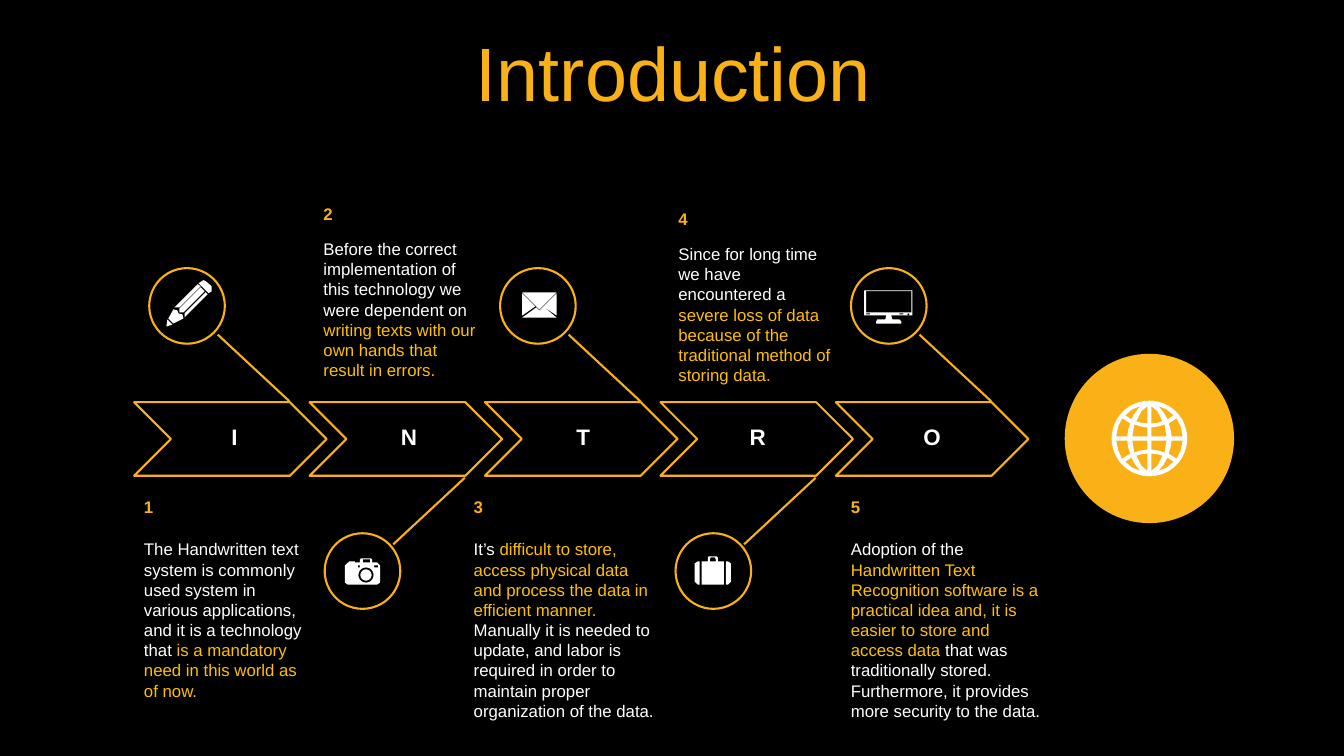
"""Build the Introduction slide: a five-step chevron row with badges and notes."""
from itertools import product
from math import cos, pi, sin

from lxml.etree import SubElement
from pptx import Presentation
from pptx.dml.color import RGBColor
from pptx.enum.shapes import MSO_CONNECTOR, MSO_SHAPE
from pptx.enum.text import MSO_ANCHOR, MSO_AUTO_SIZE, PP_ALIGN
from pptx.oxml.ns import qn
from pptx.util import Inches, Pt

HUES = {
    name: RGBColor.from_string(code)
    for name, code in {
        "night": "000000", "amber": "FAB117", "gold": "FFC000", "white": "FFFFFF",
    }.items()
}

deck = Presentation()
deck.slide_width, deck.slide_height = Inches(13.33), Inches(7.5)
cell = deck.slide_width // 1333
step, rim, disc = 174, 133, 75

slide = deck.slides.add_slide(deck.slide_layouts[5])
slide.background.fill.solid()
slide.background.fill.fore_color.rgb = HUES["night"]
shapes = slide.shapes


def write(para, text, size, hue, bold=False):
    """Add one run to a paragraph."""
    run = para.add_run()
    run.text = text
    run.font.name, run.font.size, run.font.bold = "Arial", Pt(size), bold
    run.font.color.rgb = HUES[hue]


def draw(left, top, loops):
    """Draw one white icon; a loop is a circle, a box or a list of points."""
    outlines = []
    for loop in loops:
        if len(loop) == 3 and isinstance(loop, tuple):
            x, y, r = loop
            loop = [(x + r * cos(k * pi / 24), y + r * sin(k * pi / 24)) for k in range(48)]
        elif isinstance(loop, tuple):
            x, y, right, low = loop
            loop = [(x, y), (right, y), (right, low), (x, low)]
        outlines.append([(x * 10, y * 10) for x, y in loop])
    pen = shapes.build_freeform(*outlines[0][0], scale=cell / 10)
    for outline in outlines:
        pen.move_to(*outline[0])
        pen.add_line_segments(outline[1:], close=True)
    icon = pen.convert_to_shape(left * cell, top * cell)
    icon.shadow.inherit = False
    icon.fill.solid()
    icon.fill.fore_color.rgb = HUES["white"]
    icon.line.fill.background()


title = shapes.title
title.left, title.top, title.width, title.height = [n * cell for n in (35, 37, 1266, 79)]
title.text_frame.vertical_anchor = MSO_ANCHOR.MIDDLE
title.text_frame.auto_size = MSO_AUTO_SIZE.NONE
head = title.text_frame.paragraphs[0]
head.alignment, head.line_spacing = PP_ALIGN.CENTER, 0.9
write(head, "Introduction", 54, "amber")

pencil = [
    [(18, 51), (23, 56), (17, 58)],
    [(24, 41), (28, 42), (29, 45), (33, 46), (34, 50), (24, 55), (19, 50)],
    [(56, 24), (58, 26), (35, 49), (35, 45)],
    [(51, 19), (55, 23), (34, 44), (30, 44), (30, 40)],
    [(48, 16), (51, 18), (30, 39), (25, 39)],
    [(52, 13), (54, 12), (56, 13), (62, 18), (62, 23), (59, 25), (49, 15)],
]
camera = [
    (41, 41.5, 5.5), (41, 41.5, 7.5),
    (33, 32, 35, 34), (49, 32, 53, 34), (38, 26, 45, 29),
    [(36, 25), (46, 25), (47, 26), (47, 29), (52, 29), (55, 32), (55, 49), (52, 51),
     (23, 51), (20, 49), (20, 32), (23, 29), (24, 29), (24, 28), (30, 28), (30, 29),
     (35, 29), (35, 26)],
]
mail = [
    [(43, 38), (56, 49), (22, 49), (36, 39), (39, 42)],
    [(56, 25), (56, 47), (43, 38)],
    [(22, 25), (35, 38), (22, 47)],
    [(22, 24), (56, 24), (39, 41)],
]
case = [
    [(50, 28), (52, 28), (55, 30), (55, 48), (52, 51), (50, 51)],
    [(22, 28), (24, 28), (24, 51), (22, 51), (19, 48), (19, 30)],
    [(35, 24), (39, 24), (40, 26), (40, 28), (34, 28), (34, 26)],
    [(33, 23), (41, 23), (42, 24), (42, 28), (48, 28), (48, 51), (26, 51), (26, 28),
     (32, 28), (32, 24)],
]
screen = [
    (48, 45, 52, 46), (15, 45, 19, 46), (57, 46, 1), (15, 23, 60, 44),
    [(13, 22), (61, 22), (61, 47), (40, 47), (41, 51), (48, 51), (50, 53), (50, 55),
     (25, 55), (25, 53), (26, 51), (34, 51), (35, 47), (13, 47)],
]

for i, (mark, icon) in enumerate(zip("INTRO", (pencil, camera, mail, case, screen))):
    left = rim + step * i
    above = i % 2 == 0
    top = 266 if above else 529
    near, far = (332, 398) if above else (540, 474)
    stem = shapes.add_connector(
        MSO_CONNECTOR.STRAIGHT,
        (left + 83) * cell, near * cell, (left + 154) * cell, far * cell,
    )
    SubElement(stem._element.spPr, qn("a:effectLst"))
    chevron = shapes.add_shape(
        MSO_SHAPE.CHEVRON, left * cell, 399 * cell, 191 * cell, 73 * cell
    )
    badge = shapes.add_shape(
        MSO_SHAPE.OVAL, (left + 15) * cell, top * cell, disc * cell, disc * cell
    )
    for part in (chevron, badge):
        part.shadow.inherit = False
        part.fill.background()
    for part in (stem, chevron, badge):
        part.line.color.rgb, part.line.width = HUES["amber"], Pt(1.5)
    draw(left + 15, top, icon)

    box = shapes.add_textbox((196 + 173 * i) * cell, 415 * cell, 73 * cell, 37 * cell)
    box.text_frame.word_wrap = True
    para = box.text_frame.paragraphs[0]
    para.alignment = PP_ALIGN.CENTER
    write(para, mark, 16, "white", True)

hub = shapes.add_shape(MSO_SHAPE.OVAL, 1056 * cell, 351 * cell, 168 * cell, 168 * cell)
hub.shadow.inherit = False
hub.fill.solid()
hub.fill.fore_color.rgb = HUES["amber"]
hub.line.fill.background()

panes = [
    [(2, 15), (2, 32), (8, 27), (13, 17), (8, 15.5)],
    [(2, 2), (2, 11), (9, 12), (15, 14), (17, 2)],
    [(22, 2), (21, 9), (19, 15), (27, 20), (31, 12), (33, 2)],
    [(18, 19), (14, 26), (9, 32), (17, 29), (24, 23)],
]
globe = [(0, 0, 37.5)] + [
    [(x * across, y * down) for x, y in pane]
    for pane, across, down in product(panes, (1, -1), (1, -1))
]
draw(1140, 435, globe)

notes = [
    (133, 488, 177, 42, 172, [[
        ("The Handwritten text system is commonly used system in various applications, "
         "and it is a technology that ", "white"),
        ("is a mandatory need in this world as of now.", "gold")]]),
    (311, 197, 172, 35, 151, [
        [("Before the correct", "white")],
        [("implementation of this technology we were dependent on", "white")],
        [("writing texts with our own hands that result in errors.", "gold")]]),
    (460, 488, 201, 42, 192, [[
        ("It’s ", "white"),
        ("difficult to store, access physical data and process the data in efficient "
         "manner. ", "gold"),
        ("Manually it is needed to update, and labor is required in order to maintain "
         "proper organization of the data.", "white")]]),
    (663, 202, 172, 35, 151, [[
        ("Since for long time we have encountered a ", "white"),
        ("severe loss of data because of the traditional method of storing data.", "gold")]]),
    (834, 488, 211, 42, 192, [[
        ("Adoption of the ", "white"),
        ("Handwritten Text Recognition software is a practical idea and, it is easier to "
         "store and access data", "gold"),
        (" that was traditionally stored. Furthermore, it provides more security to the "
         "data.", "white")]]),
]
for count, (left, top, width, drop, height, paras) in enumerate(notes, 1):
    label = [[(str(count), "amber")]]
    for y, tall, lines, bold in ((top, 30, label, True), (top + drop, height, paras, False)):
        box = shapes.add_textbox(left * cell, y * cell, width * cell, tall * cell)
        frame = box.text_frame
        frame.word_wrap = True
        for k, line in enumerate(lines):
            para = frame.add_paragraph() if k else frame.paragraphs[0]
            for text, hue in line:
                write(para, text, 12, hue, bold)

deck.save("out.pptx")
